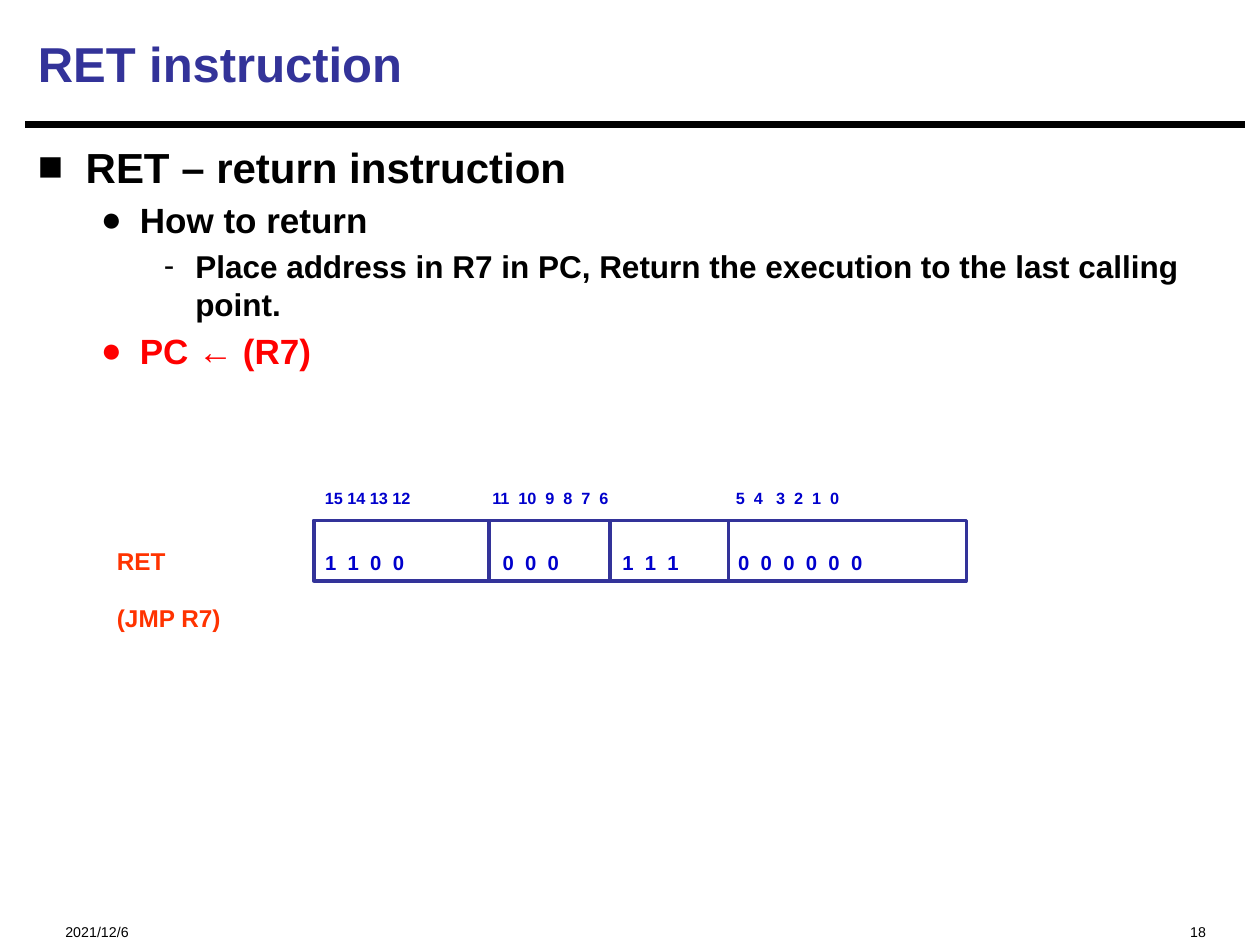
"""Build the RET instruction slide with its bit-field diagram."""
from lxml.etree import SubElement
from pptx import Presentation
from pptx.dml.color import RGBColor
from pptx.enum.shapes import MSO_CONNECTOR, MSO_SHAPE
from pptx.enum.text import MSO_ANCHOR, MSO_AUTO_SIZE, PP_ALIGN
from pptx.oxml.ns import qn
from pptx.util import Inches, Pt

COLORS = {"black": "000000", "navy": "333399", "bits": "0000CC",
          "label": "FF3300", "red": "FF0000"}
FIELD_TOP, FIELD_HEIGHT = 4.13, 0.48
BIT_NUMBERS = [(2.48, 1.42, 0.1, "15 14 13 12", PP_ALIGN.LEFT),
               (3.81, 1.97, 0.1, "11  10  9  8  7  6", PP_ALIGN.JUSTIFY),
               (5.7, 1.97, 0.14, "5  4   3  2  1  0", PP_ALIGN.JUSTIFY)]
BIT_VALUES = [(2.39, 1.43, 0.19, "1  1  0  0"), (3.89, 1.28, 0.1, "0  0  0"),
              (4.84, 1.28, 0.1, "1  1  1"), (5.76, 2.07, 0.1, "0  0  0  0  0  0")]
DIVIDERS = [3.88, 4.84, 5.78]
BULLETS = {0: ("■", 0.38, 0.38, 24), 1: ("●", 0.81, 0.31, 20), 2: ("-", 1.25, 0.25, 18)}
OUTLINE = [
    (0, "RET – return instruction", "black"),
    (1, "How to return", "black"),
    (2, "Place address in R7 in PC, Return the execution to the last calling point.", "black"),
    (1, "PC ← (R7)", "red"),
]


def place(shape, left, top, width, height):
    shape.left, shape.top = Inches(left), Inches(top)
    shape.width, shape.height = Inches(width), Inches(height)


def style(paragraph, size, color, bold=True):
    font = paragraph.font
    font.name, font.size, font.bold = "Arial", Pt(size), bold
    font.color.rgb = RGBColor.from_string(COLORS[color])


def add_line(shapes, start, end, color, width):
    line = shapes.add_connector(MSO_CONNECTOR.STRAIGHT, *map(Inches, start + end))
    line.line.color.rgb = RGBColor.from_string(COLORS[color])
    line.line.width = Pt(width)
    SubElement(line._element.spPr, qn("a:effectLst"))


def add_lowered_text(shapes, bounds, lines, size, color, bold=True, inset=0.1,
                     align=PP_ALIGN.LEFT, wrap=True, grow=True):
    box = shapes.add_textbox(*map(Inches, bounds))
    frame = box.text_frame
    frame.text = "\n".join(lines)
    frame.word_wrap = wrap
    frame.margin_left = Inches(inset)
    frame.auto_size = MSO_AUTO_SIZE.SHAPE_TO_FIT_TEXT if grow else MSO_AUTO_SIZE.NONE
    for paragraph in frame.paragraphs:
        style(paragraph, size, color, bold)
        paragraph.alignment = align
        paragraph._p.pPr.get_or_add_defRPr().set("baseline", "-25000")


def fill_title(title):
    place(title, 0.2, 0.08, 9.67, 0.84)
    frame = title.text_frame
    frame.text = "RET instruction"
    frame.vertical_anchor = MSO_ANCHOR.MIDDLE
    frame.auto_size = MSO_AUTO_SIZE.NONE
    frame.paragraphs[0].alignment = PP_ALIGN.LEFT
    style(frame.paragraphs[0], 28, "navy")


def set_bullet(paragraph, character, indent, hanging):
    properties = paragraph._p.get_or_add_pPr()
    properties.set("marL", str(Inches(indent)))
    properties.set("indent", str(-Inches(hanging)))
    spacing = SubElement(properties, qn("a:spcBef"))
    SubElement(spacing, qn("a:spcPct")).set("val", "20000")
    typeface = SubElement(properties, qn("a:buFont"))
    typeface.set("typeface", "Arial")
    bullet = SubElement(properties, qn("a:buChar"))
    bullet.set("char", character)


def fill_body(body):
    place(body, 0.2, 1.07, 9.67, 5.99)
    frame = body.text_frame
    frame.text = "\n".join(text for _, text, _ in OUTLINE)
    frame.auto_size = MSO_AUTO_SIZE.NONE
    for paragraph, (level, _, color) in zip(frame.paragraphs, OUTLINE):
        character, indent, hanging, size = BULLETS[level]
        paragraph.level = level
        set_bullet(paragraph, character, indent, hanging)
        style(paragraph, size, color)


def add_instruction_format(page):
    shapes = page.shapes.add_group_shape().shapes
    field = shapes.add_shape(MSO_SHAPE.RECTANGLE, Inches(2.49), Inches(FIELD_TOP),
                             Inches(5.18), Inches(FIELD_HEIGHT))
    field.shadow.inherit = False
    field.fill.background()
    field.line.color.rgb = RGBColor.from_string(COLORS["navy"])
    field.line.width = Pt(2)
    for x in DIVIDERS:
        add_line(shapes, (x, FIELD_TOP + FIELD_HEIGHT), (x, FIELD_TOP), "navy", 2)
    for left, width, inset, text, align in BIT_NUMBERS:
        add_lowered_text(shapes, (left, 3.68, width, 0.37), [text], 16, "bits",
                         inset=inset, align=align)
    for left, width, inset, text in BIT_VALUES:
        add_lowered_text(shapes, (left, FIELD_TOP, width, 0.43), [text], 20, "bits",
                         inset=inset)
    add_lowered_text(shapes, (0.83, 4.06, 1.64, 0.91), ["RET", "(JMP R7)"], 24, "label",
                     wrap=False)


def main():
    deck = Presentation()
    deck.slide_width, deck.slide_height = Inches(10), Inches(7.5)
    page = deck.slides.add_slide(deck.slide_layouts[1])
    fill_title(page.shapes.title)
    fill_body(page.placeholders[1])
    add_line(page.shapes, (0.2, 0.99), (9.88, 0.99), "black", 3.75)
    add_lowered_text(page.shapes, (0.42, 7.15, 2.5, 0.27), ["2021/12/6"], 14, "black",
                     bold=False, grow=False)
    add_lowered_text(page.shapes, (6.67, 7.15, 3, 0.27), ["18"], 14, "black",
                     bold=False, align=PP_ALIGN.RIGHT, grow=False)
    add_instruction_format(page)
    deck.save("out.pptx")


if __name__ == "__main__":
    main()
